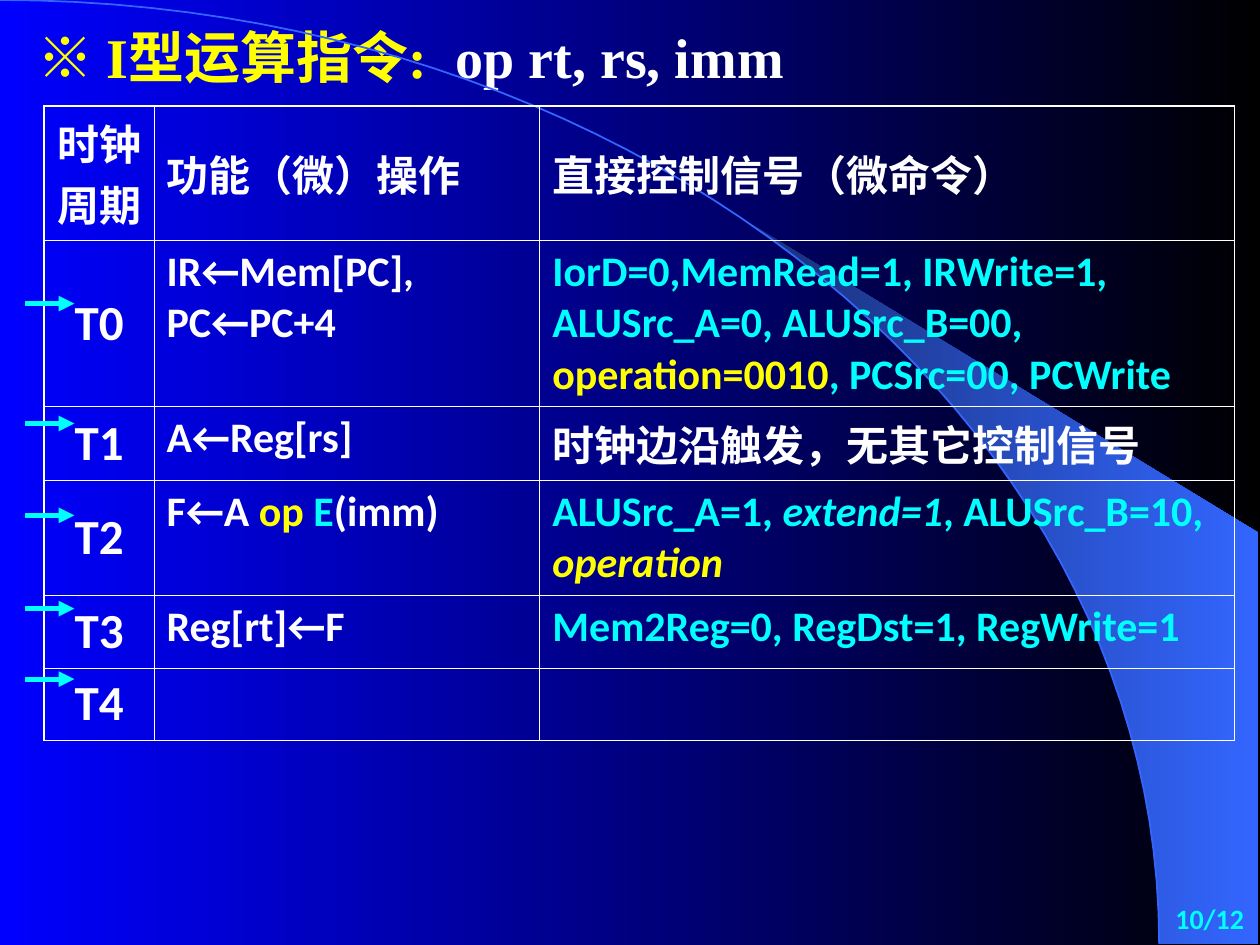
from lxml import etree
from pptx import Presentation
from pptx.dml.color import RGBColor
from pptx.enum.shapes import MSO_CONNECTOR
from pptx.enum.text import MSO_ANCHOR, MSO_AUTO_SIZE, PP_ALIGN
from pptx.oxml.ns import qn
from pptx.util import Pt

LEFT, CENTER, RIGHT = PP_ALIGN.LEFT, PP_ALIGN.CENTER, PP_ALIGN.RIGHT
TOP, MIDDLE = MSO_ANCHOR.TOP, MSO_ANCHOR.MIDDLE
STRAIGHT = MSO_CONNECTOR.STRAIGHT

WHITE = RGBColor(0xFF, 0xFF, 0xFF)
YELLOW = RGBColor(0xFF, 0xFF, 0x00)
CYAN = RGBColor(0x00, 0xFF, 0xFF)
BLUE = RGBColor(0x00, 0x00, 0xFF)
BLACK = RGBColor(0x00, 0x00, 0x00)
NAVY = RGBColor(0x18, 0x2F, 0x76)
SKY = RGBColor(0x33, 0x66, 0xFF)

SERIF, SANS, CJK = "Times New Roman", "Calibri", "Noto Sans CJK SC"

# Content: each text is a list of (text, format) spans
AQUA, GOLD = {"color": CYAN}, {"color": YELLOW}
TITLE = [
    ("※ ", {"color": YELLOW, "font": CJK}),
    ("I型运算指令:  ", GOLD),
    ("op rt, rs, imm", {}),
]
HEADER = ["时钟周期", "功能（微）操作", "直接控制信号（微命令）"]
STEPS = [
    ("T0", [("IR←Mem[PC], PC←PC+4", {})],
     [("IorD=0,MemRead=1, IRWrite=1, ALUSrc_A=0, ALUSrc_B=00, ", AQUA),
      ("operation=0010", GOLD), (", PCSrc=00, PCWrite", AQUA)]),
    ("T1", [("A←Reg[rs]", {})], [("时钟边沿触发，无其它控制信号", {})]),
    ("T2", [("F←A ", {}), ("op ", GOLD), ("E", AQUA), ("(imm)", {})],
     [("ALUSrc_A=1, ", AQUA), ("extend=1", {"color": CYAN, "italic": True}),
      (", ALUSrc_B=10, ", AQUA),
      ("operation", {"color": YELLOW, "italic": True})]),
    ("T3", [("Reg[rt]←F", {})], [("Mem2Reg=0, RegDst=1, RegWrite=1", AQUA)]),
    ("T4", [], []),
]
PAGE_NUMBER = "10/12"

# Layout, in points
COLUMN_WIDTHS = [62.8, 220.5, 397]
ROW_HEIGHTS = [65, 93.6, 41, 65, 41, 41]
ARROW_LEFT, ARROW_RIGHT = 14.4, 42.5
ARROW_HEIGHTS = [173.5, 242, 294.5, 347.8, 388.1]
ARC = [(0, 0), (365.8, 0), (662.4, 241.2), (662.4, 539.3)]
ARC_STEPS, WEDGE_START = 50, 22
WEDGE_CORNERS = [(719.3, 539.3), (719.3, 304.6)]
THIN, THICK = 0.45, 1.08


def write_text(frame, spans, size=24, font=SANS, color=WHITE, align=LEFT):
    para = frame.paragraphs[0]
    para.alignment = align
    para.space_before = Pt(0)
    for text, style in spans:
        span = para.add_run()
        span.text = text
        span.font.size = Pt(size)
        span.font.bold = True
        span.font.italic = style.get("italic", False)
        span.font.color.rgb = style.get("color", color)
        span.font.name = style.get("font", font)
        latin = span.font._element.find(qn("a:latin"))
        latin.addnext(latin.makeelement(qn("a:ea"), {"typeface": CJK}))


def set_gradient(fill, first, last):
    fill.gradient()
    fill.gradient_angle = 0
    for stop, color, position in zip(fill.gradient_stops, (first, last), (0, 1)):
        stop.color.rgb = color
        stop.position = position


def arc_point(t):
    weights = ((1 - t) ** 3, 3 * t * (1 - t) ** 2, 3 * t * t * (1 - t), t ** 3)
    return tuple(sum(w * point[axis] for w, point in zip(weights, ARC))
                 for axis in (0, 1))


def add_outline(page, points, close):
    corners = [(Pt(x), Pt(y)) for x, y in points]
    builder = page.shapes.build_freeform(*corners[0])
    builder.add_line_segments(corners[1:], close=close)
    shape = builder.convert_to_shape()
    shape.shadow.inherit = False
    return shape


def set_borders(cell, widths):
    properties = cell._tc.get_or_add_tcPr()
    for side, width in zip(("lnL", "lnR", "lnT", "lnB"), widths):
        line = etree.SubElement(properties, qn("a:" + side), w=str(int(Pt(width))))
        fill = etree.SubElement(line, qn("a:solidFill"))
        etree.SubElement(fill, qn("a:srgbClr"), val=str(WHITE))


def add_arrow(page, y):
    arrow = page.shapes.add_connector(
        STRAIGHT, Pt(ARROW_LEFT), Pt(y), Pt(ARROW_RIGHT), Pt(y))
    arrow.line.color.rgb = CYAN
    arrow.line.width = Pt(3)
    etree.SubElement(arrow.line._get_or_add_ln(), qn("a:tailEnd"), type="triangle")
    etree.SubElement(arrow._element.spPr, qn("a:effectLst"))


def add_step_table(page):
    frame = page.shapes.add_table(
        len(ROW_HEIGHTS), len(COLUMN_WIDTHS), Pt(25.2), Pt(60.5),
        Pt(sum(COLUMN_WIDTHS)), Pt(sum(ROW_HEIGHTS)))
    table = frame.table
    table.first_row = table.horz_banding = False
    for column, width in zip(table.columns, COLUMN_WIDTHS):
        column.width = Pt(width)
    for row, height in zip(table.rows, ROW_HEIGHTS):
        row.height = Pt(height)

    rows = [[[(text, {"font": SERIF})] for text in HEADER]]
    rows += [[[(name, {})], action, signals] for name, action, signals in STEPS]
    last_row, last_column = len(rows) - 1, len(HEADER) - 1
    for r, row in enumerate(rows):
        for c, spans in enumerate(row):
            cell = table.cell(r, c)
            outer = (c == 0, c == last_column, r == 0, r == last_row)
            set_borders(cell, [THICK if edge else THIN for edge in outer])
            cell.fill.background()
            is_label = c == 0 and r > 0
            centred = (r == 0 and c > 0) or (is_label and r < last_row)
            cell.vertical_anchor = MIDDLE if centred else TOP
            write_text(cell.text_frame, spans, size=28 if is_label else 24,
                       align=CENTER if c == 0 else LEFT)


def main():
    deck = Presentation()
    deck.slide_width, deck.slide_height = Pt(720), Pt(540)
    page = deck.slides.add_slide(deck.slide_layouts[5])

    # Background with the arc and its wedge
    set_gradient(page.background.fill, BLUE, BLACK)
    curve = [arc_point(step / ARC_STEPS) for step in range(ARC_STEPS + 1)]
    wedge = add_outline(page, curve[WEDGE_START:] + WEDGE_CORNERS, True)
    set_gradient(wedge.fill, NAVY, SKY)
    wedge.line.fill.background()
    arc = add_outline(page, curve, False)
    arc.fill.background()
    arc.line.color.rgb = SKY
    arc.line.width = Pt(1)

    add_step_table(page)

    # Title
    title = page.shapes.title
    title.left, title.top, title.width, title.height = (
        Pt(14.4), Pt(9.4), Pt(562.3), Pt(46))
    title.text_frame.auto_size = MSO_AUTO_SIZE.NONE
    title.text_frame.vertical_anchor = TOP
    write_text(title.text_frame, TITLE, size=32, font=SERIF)

    # Clock arrows
    for y in ARROW_HEIGHTS:
        add_arrow(page, y)

    # Page number
    box = page.shapes.add_textbox(Pt(632.9), Pt(510.5), Pt(85), Pt(28))
    box.text_frame.word_wrap = True
    box.text_frame.vertical_anchor = MIDDLE
    write_text(box.text_frame, [(PAGE_NUMBER, AQUA)], size=16, align=RIGHT)

    deck.save("out.pptx")


if __name__ == "__main__":
    main()
